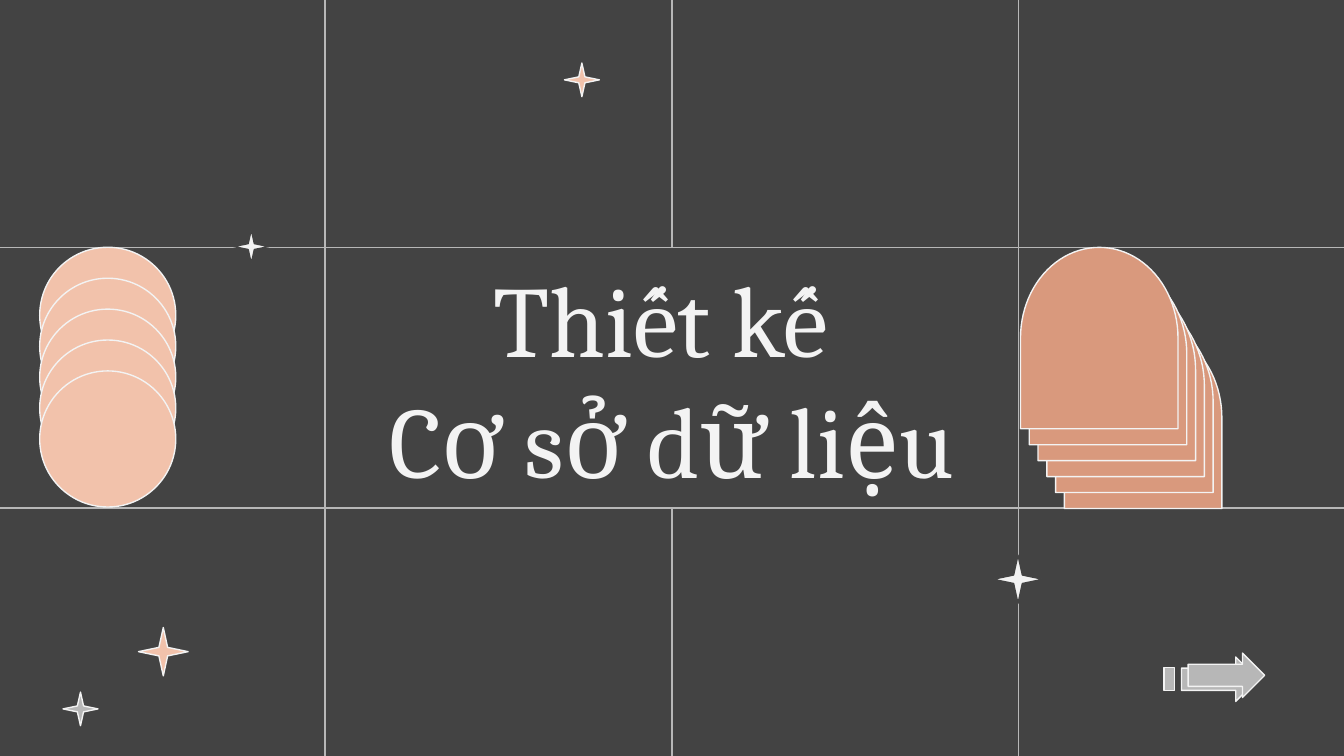
from lxml import etree
from pptx import Presentation
from pptx.dml.color import RGBColor
from pptx.enum import shapes, text
from pptx.oxml import ns
from pptx.util import Pt

DARK = RGBColor(0x43, 0x43, 0x43)
GREY = RGBColor(0xB7, 0xB7, 0xB7)
LIGHT = RGBColor(0xF3, 0xF3, 0xF3)
PEACH = RGBColor(0xF2, 0xC2, 0xAB)
CLAY = RGBColor(0xD9, 0x99, 0x7D)

TITLE = "Thiết kế \vCơ sở dữ liệu"
WIDTH, HEIGHT = 720, 405
COLUMNS = [WIDTH / 2 + 185.8 * i for i in (-1, 0, 1)]
ROWS = [132.5, 272.2]
OVERHANG = 8

SMALL, LARGE = (18.7, 18), (26.6, 25.9)
# left, top, size, fill, outline
CORNER_STARS = [
    (74.2, 336.2, LARGE, PEACH, LIGHT),
    (33.8, 370.8, SMALL, GREY, LIGHT),
]
FRONT_STARS = [
    (125.3, 123.1, SMALL, LIGHT, DARK),
    (532.1, 297.4, LARGE, LIGHT, DARK),
    (302.4, 33.8, SMALL, PEACH, LIGHT),
]
# preset, left, top, width, height, rotation
ARROW_PARTS = [
    (shapes.MSO_SHAPE.UP_ARROW, 641.5, 343.4, 23.8, 41, 90),
    (shapes.MSO_SHAPE.RECTANGLE, 623.5, 357.8, 5.8, 12.2, 0),
    (shapes.MSO_SHAPE.UP_ARROW, 645.1, 341.3, 23.8, 41, 90),
]
ARCH_COUNT, CIRCLE_COUNT = 6, 5

prs = Presentation()
prs.slide_width, prs.slide_height = Pt(WIDTH), Pt(HEIGHT)
s = prs.slides.add_slide(prs.slide_layouts[5])
s.background.fill.solid()
s.background.fill.fore_color.rgb = DARK


def paint(sp, fill, outline):
    sp.fill.solid()
    sp.fill.fore_color.rgb = fill
    sp.line.color.rgb = outline
    sp.line.width = Pt(0.75)


def add_shape(preset, x, y, w, h, fill, outline=LIGHT, rotation=0):
    sp = s.shapes.add_shape(preset, Pt(x), Pt(y), Pt(w), Pt(h))
    sp.shadow.inherit = False
    sp.rotation = rotation
    paint(sp, fill, outline)
    return sp


def add_line(x1, y1, x2, y2):
    line = s.shapes.add_connector(shapes.MSO_CONNECTOR.STRAIGHT,
                                  Pt(x1), Pt(y1), Pt(x2), Pt(y2))
    line.line.color.rgb = GREY
    line.line.width = Pt(0.75)
    etree.SubElement(line._element.spPr, ns.qn("a:effectLst"))


def add_stars(stars):
    for x, y, (w, h), fill, outline in stars:
        star = add_shape(shapes.MSO_SHAPE.STAR_4_POINT, x, y, w, h, fill, outline)
        star.adjustments[0] = 0.125


def write(sp, content, *, font, size, color, align, anchor, inset):
    tf = sp.text_frame
    tf.text = content
    tf.word_wrap = True
    tf.auto_size = text.MSO_AUTO_SIZE.NONE
    tf.vertical_anchor = anchor
    tf.margin_left = tf.margin_right = tf.margin_top = tf.margin_bottom = Pt(inset)
    for p in tf.paragraphs:
        p.alignment = align
        for r in p.runs:
            r.font.name, r.font.size = font, Pt(size)
            r.font.color.rgb = color


for x in COLUMNS:
    add_line(x, -OVERHANG, x, HEIGHT + OVERHANG)
for y in ROWS:
    add_line(-OVERHANG, y, WIDTH + OVERHANG, y)

add_stars(CORNER_STARS)
for preset, x, y, w, h, rotation in ARROW_PARTS:
    add_shape(preset, x, y, w, h, GREY, rotation=rotation)

# The title fills the middle cells and hides the grid lines behind it.
title = s.shapes.title
title.left, title.top = Pt(COLUMNS[0]), Pt(ROWS[0])
title.width, title.height = Pt(COLUMNS[-1] - COLUMNS[0]), Pt(ROWS[1] - ROWS[0])
paint(title, DARK, GREY)
write(title, TITLE, font="Cambria", size=54, color=LIGHT, inset=7.2,
      align=text.PP_ALIGN.CENTER, anchor=text.MSO_ANCHOR.MIDDLE)
s.shapes._spTree.append(title._element)

add_stars(FRONT_STARS[:2])
for i in range(ARCH_COUNT):
    add_shape(shapes.MSO_SHAPE.FLOWCHART_DELAY, 563.8 - 4.7 * i, 181.6 - 8.54 * i,
              97.2, 84.4, CLAY, rotation=270)
for i in range(CIRCLE_COUNT):
    add_shape(shapes.MSO_SHAPE.OVAL, 21.3, ROWS[0] + 16.56 * i, 72.9, 72.9, PEACH)
add_stars(FRONT_STARS[2:])

prs.save("out.pptx")
